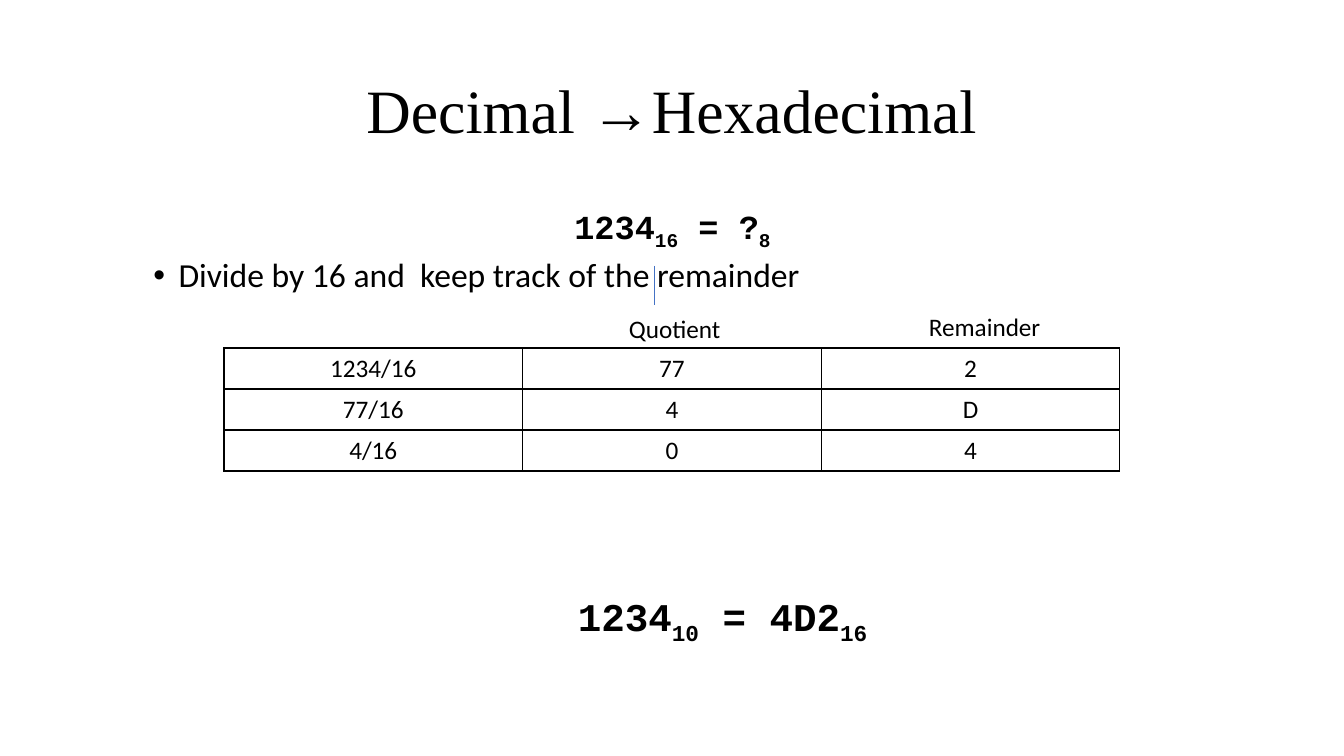
from dataclasses import dataclass

from lxml import etree
from pptx import Presentation
from pptx.dml.color import RGBColor
from pptx.enum.shapes import MSO_CONNECTOR
from pptx.enum.text import MSO_ANCHOR, PP_ALIGN
from pptx.oxml.ns import qn
from pptx.util import Emu, Pt

CENTER = PP_ALIGN.CENTER
LEFT = PP_ALIGN.LEFT
MIDDLE = MSO_ANCHOR.MIDDLE
TOP = MSO_ANCHOR.TOP
STRAIGHT = MSO_CONNECTOR.STRAIGHT
PIXEL = 914400 / 100.8


@dataclass(frozen=True)
class Theme:
    """Colours, fonts and type sizes of the slide."""
    ink: RGBColor = RGBColor(0, 0, 0)
    paper: RGBColor = RGBColor(0xFF, 0xFF, 0xFF)
    accent: RGBColor = RGBColor(0x44, 0x72, 0xC4)
    title_font: str = "Times New Roman"
    body_font: str = "Calibri"
    code_font: str = "Courier New"
    title_size: int = 44
    body_size: int = 24
    answer_size: int = 28
    table_size: int = 18


theme = Theme()


def pixels(*lengths):
    """Turn pixel lengths into EMU."""
    return [Emu(round(length * PIXEL)) for length in lengths]


def write(paragraph, parts, font, size, align=LEFT, bold=False):
    """Fill a paragraph with runs; every second part is a subscript."""
    paragraph.alignment = align
    for index, part in enumerate(parts):
        run = paragraph.add_run()
        run.text = part
        run.font.name = font
        run.font.size = Pt(size)
        run.font.bold = bold
        run.font.color.rgb = theme.ink
        if index % 2:
            run.font._element.set("baseline", "-25000")


presentation = Presentation()
presentation.slide_width, presentation.slide_height = pixels(1344, 756)
slide = presentation.slides.add_slide(presentation.slide_layouts[6])

# Text boxes: bounds, parts, font, size, alignment, bold, line spacing, space before, anchor
text_boxes = {
    "title": ((92, 41, 1160, 146), ["Decimal →Hexadecimal"], theme.title_font,
              theme.title_size, CENTER, False, 0.9, 0, MIDDLE),
    "method": ((93, 201, 1159, 480), ["1234", "16", " = ?", "8"], theme.code_font,
               theme.body_size, CENTER, True, 1.0, 5, TOP),
    "quotient": ((619, 308, 171, 40), ["Quotient"], theme.body_font,
                 theme.table_size, LEFT, False, 1.0, 0, TOP),
    "remainder": ((919, 306, 192, 40), ["Remainder"], theme.body_font,
                  theme.table_size, LEFT, False, 1.0, 0, TOP),
    "answer": ((568, 588, 410, 54), ["1234", "10", " = 4D2", "16"], theme.code_font,
               theme.answer_size, LEFT, True, 0.9, 10, TOP),
}
frames = {}
for role, (bounds, parts, font, size, align, bold, spacing, before, anchor) in text_boxes.items():
    frame = slide.shapes.add_textbox(*pixels(*bounds)).text_frame
    frame.word_wrap = True
    frame.vertical_anchor = anchor
    paragraph = frame.paragraphs[0]
    paragraph.line_spacing = spacing
    paragraph.space_before = Pt(before)
    write(paragraph, parts, font, size, align, bold)
    frames[role] = frame

# Bulleted instruction below the question
instruction = frames["method"].add_paragraph()
instruction.level = 1
instruction.line_spacing = 0.9
instruction.space_before = Pt(5)
write(instruction, ["Divide by 16 and  keep track of the remainder"],
      theme.body_font, theme.body_size)
properties = instruction._p.get_or_add_pPr()
properties.set("marL", str(Pt(54)))
properties.set("indent", str(-Pt(18)))
etree.SubElement(properties, qn("a:buFont"), typeface="Arial")
etree.SubElement(properties, qn("a:buChar"), char="•")

# Thin vertical line
divider = slide.shapes.add_connector(STRAIGHT, *pixels(654, 266, 654, 305))
divider.line.color.rgb = theme.accent
divider.line.width = Pt(0.5)
etree.SubElement(divider._element.spPr, qn("a:effectLst"))

# Division table
divisions = [("1234/16", "77", "2"), ("77/16", "4", "D"), ("4/16", "0", "4")]
table = slide.shapes.add_table(3, 3, *pixels(224, 348, 896, 123)).table
table.first_row = False
table.horz_banding = False
for row, values in zip(table.rows, divisions):
    for cell, value in zip(row.cells, values):
        write(cell.text_frame.paragraphs[0], [value], theme.body_font,
              theme.table_size, CENTER)
        cell_properties = cell._tc.get_or_add_tcPr()
        for side in ("lnL", "lnR", "lnT", "lnB"):
            border = etree.SubElement(cell_properties, qn(f"a:{side}"), w=str(Pt(1)))
            fill = etree.SubElement(border, qn("a:solidFill"))
            etree.SubElement(fill, qn("a:srgbClr"), val=str(theme.ink))
        cell.fill.solid()
        cell.fill.fore_color.rgb = theme.paper

presentation.save("out.pptx")
